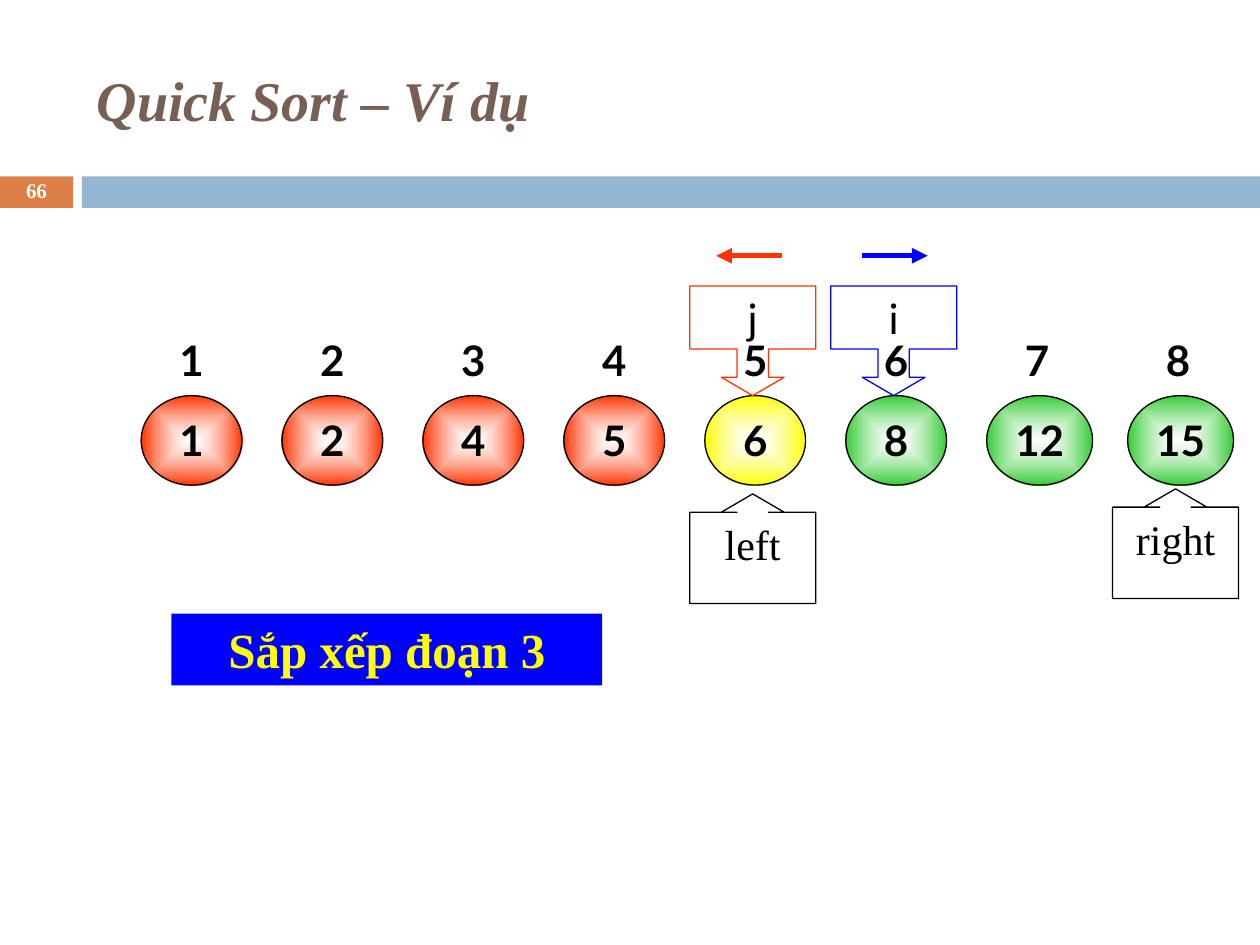
import pptx
import pptx.dml.color
import pptx.enum.shapes
import pptx.enum.text
import pptx.oxml
import pptx.oxml.ns
import pptx.util

Inches, Pt = pptx.util.Inches, pptx.util.Pt
RGBColor = pptx.dml.color.RGBColor
SHAPE = pptx.enum.shapes.MSO_SHAPE
ALIGN = pptx.enum.text.PP_ALIGN
ANCHOR = pptx.enum.text.MSO_ANCHOR

BLACK = RGBColor(0x00, 0x00, 0x00)
WHITE = RGBColor(0xFF, 0xFF, 0xFF)
BROWN = RGBColor(0x77, 0x5F, 0x55)
ORANGE = RGBColor(0xDD, 0x80, 0x47)
STEEL = RGBColor(0x94, 0xB6, 0xD2)
RED = RGBColor(0xFF, 0x33, 0x00)
YELLOW = RGBColor(0xFF, 0xFF, 0x00)
GREEN = RGBColor(0x33, 0xCC, 0x33)
BLUE = RGBColor(0x00, 0x00, 0xFF)

SERIF, SANS = "Times New Roman", "Lato"

# Grid of the array: eight equal columns
FIRST_LEFT, LAST_LEFT = 1.12, 8.95
VALUES = [1, 2, 4, 5, 6, 8, 12, 15]
PIVOT = 4
COLUMN_PITCH = (LAST_LEFT - FIRST_LEFT) / (len(VALUES) - 1)
INDEX_TOP, VALUE_TOP = 2.5, 3.14
BALL_WIDTH, BALL_HEIGHT = 0.8, 0.71
CALLOUT_WIDTH, CALLOUT_HEIGHT, CALLOUT_SHIFT = 1, 0.87, -0.12


def column_left(column):
    return FIRST_LEFT + column * COLUMN_PITCH


def write(shape, text, size, font, color, bold=False, italic=False,
          align=ALIGN.CENTER, anchor=ANCHOR.TOP, side_inset=0):
    frame = shape.text_frame
    frame.word_wrap = True
    frame.vertical_anchor = anchor
    frame.margin_left = frame.margin_right = Inches(side_inset)
    paragraph = frame.paragraphs[0]
    paragraph.alignment = align
    run = paragraph.add_run()
    run.text = text
    run.font.size = Pt(size)
    run.font.name = font
    run.font.bold = bold
    run.font.italic = italic
    run.font.color.rgb = color
    return paragraph


def add_shape(slide, kind, left, top, width, height, fill=None, line=None):
    shape = slide.shapes.add_shape(
        kind, Inches(left), Inches(top), Inches(width), Inches(height))
    shape.shadow.inherit = False
    if fill is None:
        shape.fill.background()
    else:
        shape.fill.solid()
        shape.fill.fore_color.rgb = fill
    if line is None:
        shape.line.fill.background()
    else:
        shape.line.color.rgb = line
        shape.line.width = Pt(0.75)
    return shape


def set_glow_fill(shape, color):
    """Fill from a translucent white centre to the given edge colour."""
    gradient = pptx.oxml.parse_xml(
        f'<a:gradFill {pptx.oxml.ns.nsdecls("a")} rotWithShape="1"><a:gsLst>'
        '<a:gs pos="0"><a:srgbClr val="FFFFFF"><a:alpha val="60000"/></a:srgbClr></a:gs>'
        f'<a:gs pos="100000"><a:srgbClr val="{color}"/></a:gs></a:gsLst>'
        '<a:path path="rect"><a:fillToRect l="50000" t="50000" r="50000" b="50000"/>'
        '</a:path></a:gradFill>')
    properties = shape.element.spPr
    properties.replace(properties.find(pptx.oxml.ns.qn("a:noFill")), gradient)


def add_ball(slide, column, value):
    width = BALL_WIDTH if value < 10 else BALL_WIDTH + 0.04
    ball = add_shape(slide, SHAPE.OVAL, column_left(column), VALUE_TOP,
                     width, BALL_HEIGHT, line=BLACK)
    color = RED if column < PIVOT else YELLOW if column == PIVOT else GREEN
    set_glow_fill(ball, color)
    write(ball, str(value), 24, SANS, BLACK, bold=True)


def add_index(slide, column):
    label = add_shape(slide, SHAPE.OVAL, column_left(column), INDEX_TOP,
                      BALL_WIDTH, BALL_HEIGHT)
    write(label, str(column + 1), 24, SANS, BLACK, bold=True)


def add_callout(slide, kind, column, top, body_share, text, font, line):
    callout = add_shape(slide, kind, column_left(column) + CALLOUT_SHIFT, top,
                        CALLOUT_WIDTH, CALLOUT_HEIGHT, line=line)
    for position, share in enumerate((0.286, 0.286, 0.167, body_share)):
        callout.adjustments[position] = share
    write(callout, text, 24, font, BLACK)


def add_arrow(slide, start, end, top, color):
    arrow = slide.shapes.add_connector(
        pptx.enum.shapes.MSO_CONNECTOR.STRAIGHT,
        Inches(start), Inches(top), Inches(end), Inches(top))
    arrow.line.color.rgb = color
    arrow.line.width = Pt(3)
    line = arrow.line._get_or_add_ln()
    line.append(pptx.oxml.parse_xml(
        f'<a:tailEnd {pptx.oxml.ns.nsdecls("a")} type="triangle"/>'))
    arrow.element.spPr.append(pptx.oxml.parse_xml(
        f'<a:effectLst {pptx.oxml.ns.nsdecls("a")}/>'))


def add_header(slide):
    add_shape(slide, SHAPE.RECTANGLE, 0, 1.4, 0.58, 0.25, ORANGE)
    add_shape(slide, SHAPE.RECTANGLE, 0.65, 1.4, 9.35, 0.25, STEEL)
    title = slide.shapes.add_textbox(
        Inches(0.67), Inches(0.25), Inches(8.92), Inches(1.08))
    write(title, "Quick Sort – Ví dụ", 32, SERIF, BROWN, bold=True, italic=True,
          align=ALIGN.LEFT, anchor=ANCHOR.MIDDLE, side_inset=0.1)
    number = slide.shapes.add_textbox(
        Inches(0), Inches(1.39), Inches(0.58), Inches(0.27))
    paragraph = write(number, "66", 12, SERIF, WHITE, bold=True,
                      anchor=ANCHOR.MIDDLE)
    paragraph.line_spacing = 0.8


def main():
    presentation = pptx.Presentation()
    presentation.slide_width = Inches(10)
    presentation.slide_height = Inches(7.5)
    slide = presentation.slides.add_slide(presentation.slide_layouts[6])

    add_header(slide)

    # Array values with their positions
    for column, value in enumerate(VALUES):
        add_ball(slide, column, value)
    for column in range(len(VALUES)):
        add_index(slide, column)

    # Bounds of the segment
    for column, top, text in ((4, 3.92, "left"), (7, 3.88, "right")):
        add_callout(slide, SHAPE.UP_ARROW_CALLOUT, column, top, 0.851,
                    text, SERIF, BLACK)

    # Moving pointers and their directions
    for column, text, color, start, end in (
            (5, "i", BLUE, 0.13, 0.65), (4, "j", RED, 0.61, 0.09)):
        add_callout(slide, SHAPE.DOWN_ARROW_CALLOUT, column, 2.27, 0.575,
                    text, SANS, color)
        left = column_left(column)
        add_arrow(slide, left + start, left + end, 2.03, color)

    # Current step
    step = add_shape(slide, SHAPE.RECTANGLE, 1.36, 4.87, 3.42, 0.57, BLUE)
    write(step, "Sắp xếp đoạn 3", 28, SERIF, YELLOW, bold=True)

    presentation.save("out.pptx")


if __name__ == "__main__":
    main()
